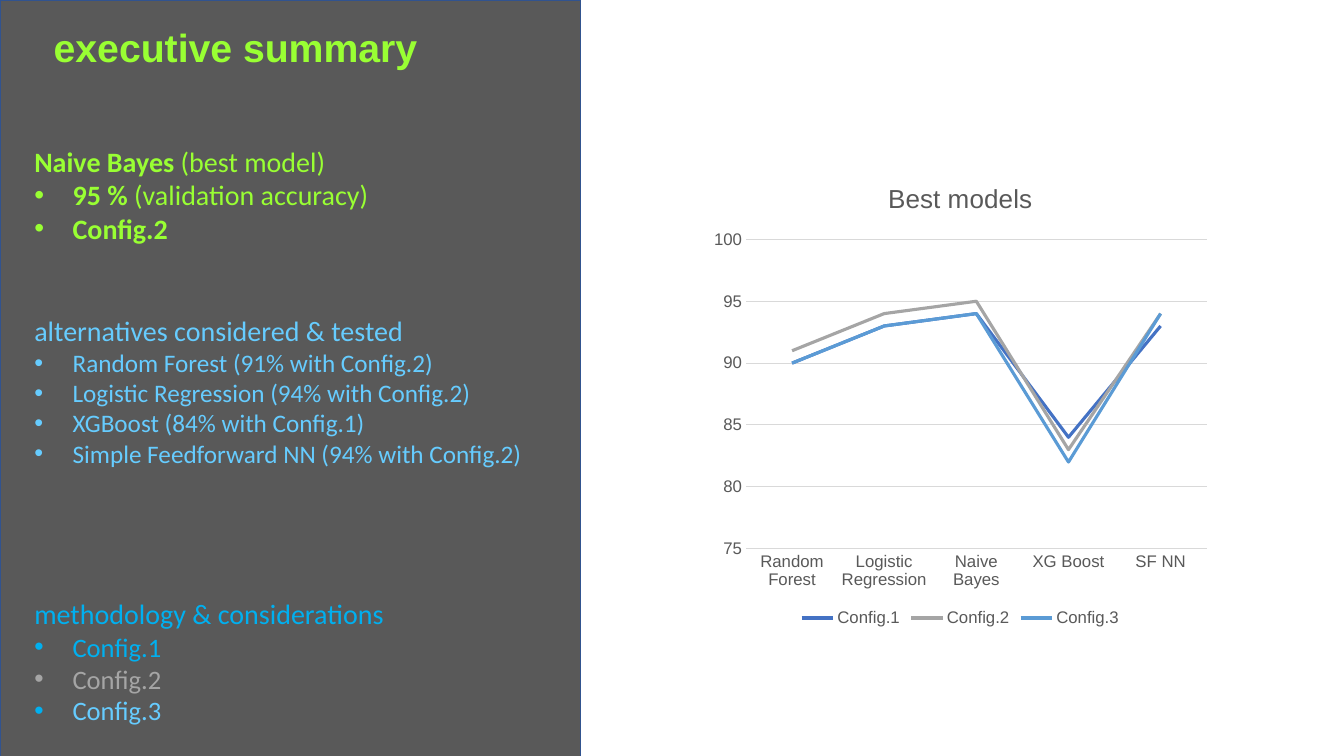
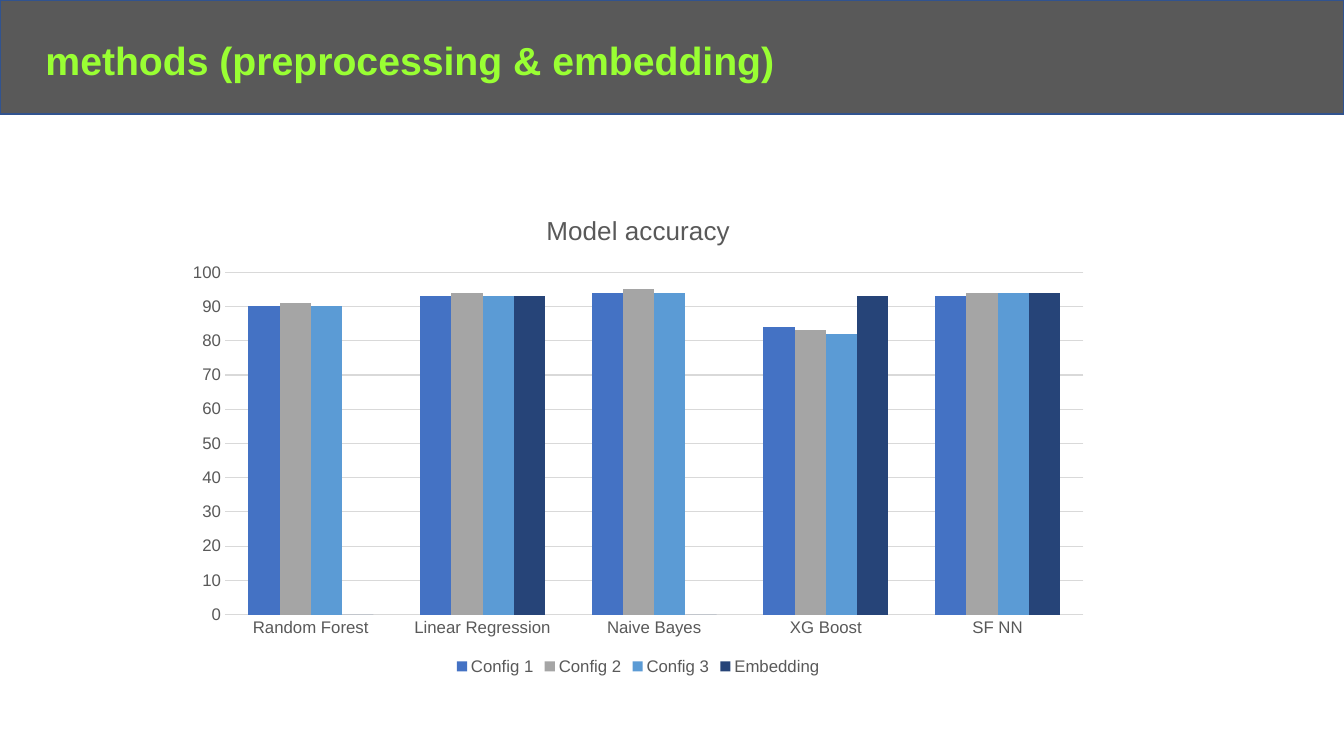
from lxml import etree
from pptx import Presentation
from pptx import util as u
from pptx.chart import data as chart_data
from pptx.dml import color
from pptx.enum import chart as charts, shapes, text
from pptx.oxml import ns

GREEN, SKY, AZURE = "99FF33", "66CCFF", "00B0F0"
BLUE, GREY, PALE_BLUE, NAVY = "4472C4", "A5A5A5", "5B9BD5", "264478"
BAND, BAND_EDGE, LABEL, GRID = "595959", "31538F", "595959", "D9D9D9"
HEADING_FONT, BODY_FONT = "Arial", "Calibri"
TITLE_AND_BODY, TITLE_ONLY = 1, 5


def rgb(value):
    """Turn a hex string into a colour."""
    return color.RGBColor.from_string(value)


def style_font(font, name, size, hue, bold=False):
    """Set the face, size, colour and weight of a font."""
    font.name, font.size, font.bold = name, u.Pt(size), bold
    font.color.rgb = rgb(hue)


def place(shape, left, top, width, height):
    """Move and resize a shape, in inches."""
    shape.left, shape.top = u.Inches(left), u.Inches(top)
    shape.width, shape.height = u.Inches(width), u.Inches(height)


def set_frame(frame, anchor):
    """Give a text frame its insets, wrapping and anchor."""
    frame.margin_left = frame.margin_right = u.Inches(0.1)
    frame.margin_top = frame.margin_bottom = u.Inches(0.05)
    frame.word_wrap = True
    frame.auto_size = text.MSO_AUTO_SIZE.NONE
    frame.vertical_anchor = anchor


def add_band(slide, width, height):
    """Put the dark band behind everything else on the slide."""
    band = slide.shapes.add_shape(
        shapes.MSO_SHAPE.RECTANGLE, 0, 0, u.Inches(width), u.Inches(height))
    band.shadow.inherit = False
    band.fill.solid()
    band.fill.fore_color.rgb = rgb(BAND)
    band.line.color.rgb = rgb(BAND_EDGE)
    band.line.width = u.Pt(1)
    slide.shapes.element.insert(2, band.element)


def set_title(slide, words, width, height):
    """Write the title, centred at the bottom of its box."""
    title = slide.shapes.title
    place(title, 0, 0, width, height)
    set_frame(title.text_frame, text.MSO_ANCHOR.BOTTOM)
    para = title.text_frame.paragraphs[0]
    para.alignment = text.PP_ALIGN.CENTER
    para.line_spacing = 0.9
    span = para.add_run()
    span.text = words
    style_font(span.font, HEADING_FONT, 28, GREEN, True)


def set_bullet(para, hue):
    """Give a paragraph a coloured bullet, or none without a hue."""
    props = para._p.get_or_add_pPr()
    indent = u.Inches(0.38) if hue else 0
    props.set("marL", str(indent))
    props.set("indent", str(-indent))
    if not hue:
        etree.SubElement(props, ns.qn("a:buNone"))
        return
    bullet_color = etree.SubElement(props, ns.qn("a:buClr"))
    etree.SubElement(bullet_color, ns.qn("a:srgbClr"), val=hue)
    etree.SubElement(props, ns.qn("a:buFont"), typeface="Arial")
    etree.SubElement(props, ns.qn("a:buChar"), char="•")


def add_para(para, spans, size, hue, bullet=None, gap=0):
    """Fill a paragraph with (words, bold) spans."""
    para.alignment = text.PP_ALIGN.LEFT
    para.line_spacing = 1.0
    para.space_before, para.space_after = u.Pt(gap), u.Pt(0)
    set_bullet(para, bullet)
    for words, bold in spans:
        span = para.add_run()
        span.text = words
        style_font(span.font, BODY_FONT, size, hue, bold)


def set_body(slide, box, lines):
    """Write the lines into the body placeholder."""
    body = slide.placeholders[1]
    place(body, *box)
    frame = body.text_frame
    set_frame(frame, text.MSO_ANCHOR.TOP)
    for index, line in enumerate(lines):
        para = frame.add_paragraph() if index else frame.paragraphs[0]
        add_para(para, *line)


def style_axes(chart, low, step):
    """Style both axes and set the value scale up to 100."""
    for axis in (chart.category_axis, chart.value_axis):
        axis.major_tick_mark = axis.minor_tick_mark = charts.XL_TICK_MARK.NONE
        style_font(axis.tick_labels.font, HEADING_FONT, 12, LABEL)
    scale = chart.value_axis
    scale.minimum_scale, scale.maximum_scale, scale.major_unit = low, 100, step
    scale.format.line.fill.background()
    scale.has_major_gridlines = True
    for line in (scale.major_gridlines.format.line,
                 chart.category_axis.format.line):
        line.color.rgb = rgb(GRID)
        line.width = u.Pt(0.75)


def add_chart(slide, kind, box, title, categories, series, low, step):
    """Add a titled chart from (name, values, colour) series."""
    values = chart_data.CategoryChartData()
    values.categories = categories
    for name, numbers, _ in series:
        values.add_series(name, numbers)
    chart = slide.shapes.add_chart(
        kind, *(u.Inches(length) for length in box), values).chart
    style_font(chart.font, HEADING_FONT, 10, "000000")
    chart.has_title = True
    span = chart.chart_title.text_frame.paragraphs[0].add_run()
    span.text = title
    style_font(span.font, HEADING_FONT, 18.6, LABEL)
    chart.chart_title.include_in_layout = False
    chart.has_legend = True
    chart.legend.position = charts.XL_LEGEND_POSITION.BOTTOM
    chart.legend.include_in_layout = False
    style_font(chart.legend.font, HEADING_FONT, 12, LABEL)
    style_axes(chart, low, step)
    plot = chart.plots[0]
    plot.vary_by_categories = False
    for item, (_, _, hue) in zip(plot.series, series):
        if kind == charts.XL_CHART_TYPE.LINE:
            item.smooth = False
            item.format.line.color.rgb = rgb(hue)
            item.format.line.width = u.Pt(2.25)
        else:
            item.format.fill.solid()
            item.format.fill.fore_color.rgb = rgb(hue)
    return plot


def build_summary(deck):
    """Build the executive summary with its line chart."""
    slide = deck.slides.add_slide(deck.slide_layouts[TITLE_AND_BODY])
    add_band(slide, 5.76, 7.55)
    set_title(slide, "executive summary", 4.67, 0.75)
    alternatives = ("Random Forest (91% with Config.2)",
                    "Logistic Regression (94% with Config.2)",
                    "XGBoost (84% with Config.1)",
                    "Simple Feedforward NN (94% with Config.2)")
    configs = (("Config.1", AZURE, AZURE), ("Config.2", GREY, GREY),
               ("Config.3", SKY, AZURE))
    set_body(slide, (0.24, 1.38, 5.17, 6.16), [
        ([("Naive Bayes ", True), ("(best model)", False)], 20, GREEN),
        ([("95 % ", True), ("(validation accuracy)", False)],
         20, GREEN, GREEN),
        ([("Config.2", True)], 20, GREEN, GREEN),
        ([("alternatives considered & tested", False)], 20, SKY, None, 49),
        *(([(words, False)], 18, SKY, SKY) for words in alternatives),
        ([("methodology & considerations", False)], 20, AZURE, None, 92),
        *(([(words, False)], 19, hue, bullet)
          for words, hue, bullet in configs),
    ])
    add_chart(
        slide, charts.XL_CHART_TYPE.LINE, (6.98, 1.6, 5.09, 4.66),
        "Best models",
        ("Random Forest", "Logistic Regression", "Naive Bayes",
         "XG Boost", "SF NN"),
        (("Config.1", (90, 93, 94, 84, 93), BLUE),
         ("Config.2", (91, 94, 95, 83, 94), GREY),
         ("Config.3", (90, 93, 94, 82, 94), PALE_BLUE)), 75, 5)


def build_methods(deck):
    """Build the methods slide with its column chart."""
    slide = deck.slides.add_slide(deck.slide_layouts[TITLE_ONLY])
    add_band(slide, 13.33, 1.13)
    set_title(slide, "methods (preprocessing & embedding)", 8.13, 0.88)
    plot = add_chart(
        slide, charts.XL_CHART_TYPE.COLUMN_CLUSTERED, (1.73, 1.92, 9.2, 4.82),
        "Model accuracy",
        ("Random Forest", "Linear Regression", "Naive Bayes",
         "XG Boost", "SF NN"),
        (("Config 1", (90, 93, 94, 84, 93), BLUE),
         ("Config 2", (91, 94, 95, 83, 94), GREY),
         ("Config 3", (90, 93, 94, 82, 94), PALE_BLUE),
         ("Embedding", (0, 93, 0, 93, 94), NAVY)), 0, 10)
    plot.gap_width, plot.overlap = 150, 0


def main():
    """Build and save the deck."""
    deck = Presentation()
    deck.slide_width, deck.slide_height = u.Inches(13.33), u.Inches(7.5)
    build_summary(deck)
    build_methods(deck)
    deck.save("out.pptx")


if __name__ == "__main__":
    main()
